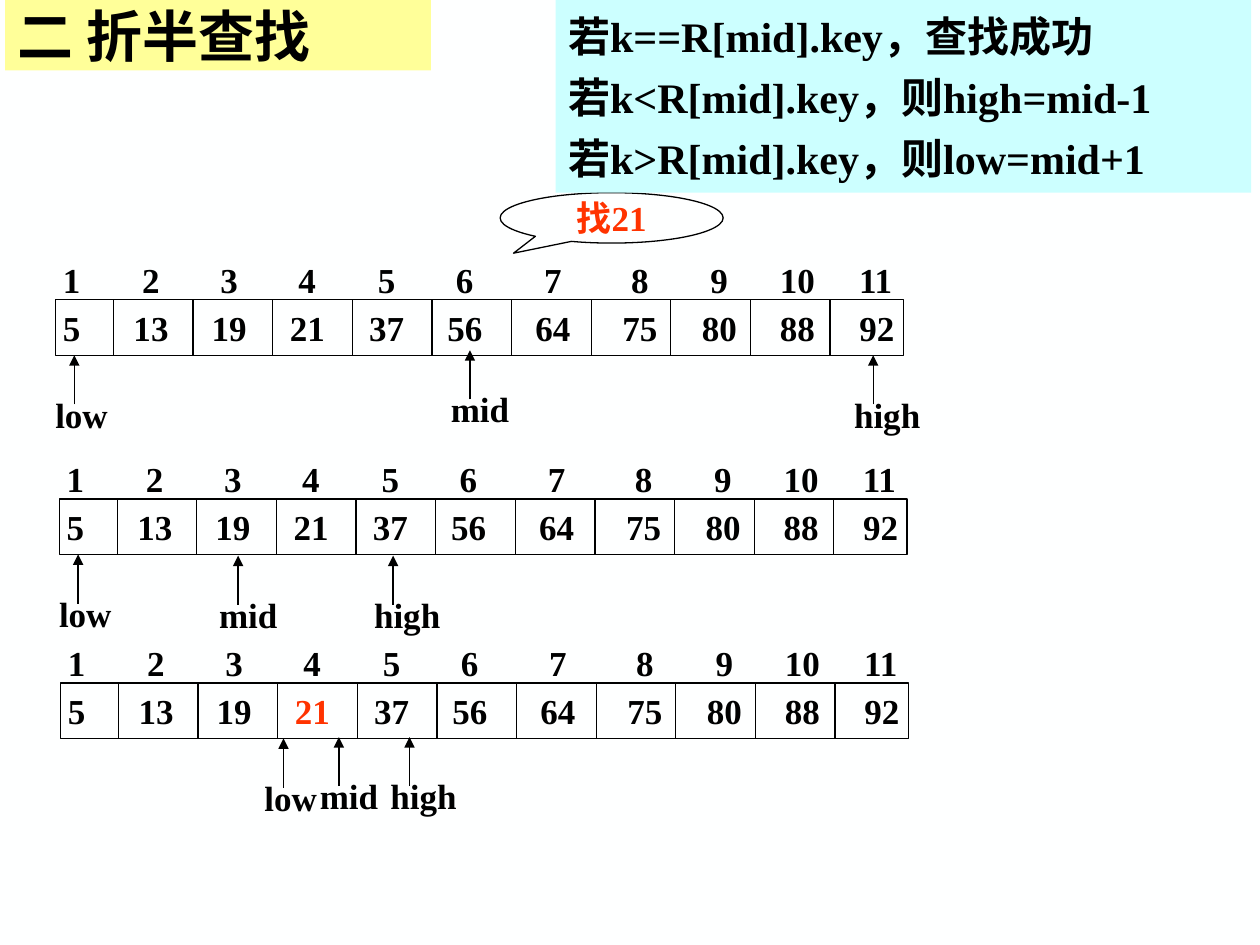
from lxml import etree
from pptx import Presentation
from pptx.dml.color import RGBColor
from pptx.enum.shapes import MSO_CONNECTOR, MSO_SHAPE
from pptx.enum.text import MSO_ANCHOR, PP_ALIGN
from pptx.oxml.ns import qn
from pptx.util import Inches, Pt

LINE = MSO_CONNECTOR.STRAIGHT
RECTANGLE = MSO_SHAPE.RECTANGLE
CALLOUT = MSO_SHAPE.OVAL_CALLOUT
MIDDLE, TOP = MSO_ANCHOR.MIDDLE, MSO_ANCHOR.TOP
LEFT, CENTER = PP_ALIGN.LEFT, PP_ALIGN.CENTER
LATIN, HAN = "Times New Roman", "Noto Sans CJK SC"
BLACK, RED, YELLOW, CYAN, PAPER = "000000", "FF3300", "FFFF99", "CCFFFF", "FEFFFF"

VALUES = [5, 13, 19, 21, 37, 56, 64, 75, 80, 88, 92]
VALUE_STARTS = [0, 0.56, 1.18, 1.8, 2.43, 3.05, 3.75, 4.44, 5.07, 5.69, 6.32]
# Single digits sit slightly further in, above the middle of two-digit values.
INDEX_STARTS = [start + (0.07 if 1 <= i <= 8 else 0)
                for i, start in enumerate(VALUE_STARTS)]
ARRAY_WIDTH, ARRAY_HEIGHT = 6.73, 0.44
FIRST_DIVIDER, CELL_WIDTH = 0.46, 0.632
LABEL_WIDTHS = {"low": 0.61, "mid": 0.66, "high": 0.72}

# Array left and top, highlighted value, and (name, x, y) of each pointer tip
STEPS = [
    ((0.44, 2.38), None, [("low", 0.59, 2.82), ("high", 6.93, 2.82), ("mid", 3.73, 2.78)]),
    ((0.47, 3.96), None, [("low", 0.62, 4.4), ("high", 3.12, 4.41), ("mid", 1.89, 4.41)]),
    ((0.48, 5.42), 21, [("low", 2.25, 5.86), ("high", 3.25, 5.85), ("mid", 2.69, 5.85)]),
]
RULES = ["若k==R[mid].key，查找成功", "若k<R[mid].key，则high=mid-1", "若k>R[mid].key，则low=mid+1"]


def color(value):
    return RGBColor.from_string(value)


def inches(box):
    return [Inches(length) for length in box]


def add_span(para, text, size=20, ink=BLACK, name=LATIN):
    span = para.add_run()
    span.text = text
    for key, value in {"name": name, "size": Pt(size), "bold": True}.items():
        setattr(span.font, key, value)
    span.font.color.rgb = color(ink)
    etree.SubElement(span.font._element, qn("a:ea"), typeface=HAN)


def format_frame(frame, wrap=True, anchor=MIDDLE, side=0.1, right=0.1):
    settings = {"word_wrap": wrap, "vertical_anchor": anchor,
                "margin_left": Inches(side), "margin_right": Inches(right),
                "margin_top": Inches(0.05), "margin_bottom": Inches(0.05)}
    for key, value in settings.items():
        setattr(frame, key, value)
    return frame.paragraphs[0]


def add_panel(page, kind, box, fill=None):
    """Add a shape that is either filled without outline or outlined without fill."""
    shape = page.shapes.add_shape(kind, *inches(box))
    shape.shadow.inherit = False
    if fill:
        shape.fill.solid()
        shape.fill.fore_color.rgb = color(fill)
        shape.line.fill.background()
    else:
        shape.fill.background()
        shape.line.color.rgb = color(BLACK)
        shape.line.width = Pt(0.75)
    return shape


def add_line(page, start, end, arrow=False):
    line = page.shapes.add_connector(LINE, *inches(start + end))
    line.line.color.rgb = color(BLACK)
    line.line.width = Pt(0.75)
    if arrow:
        etree.SubElement(line.line._get_or_add_ln(), qn("a:tailEnd"), type="triangle")
    etree.SubElement(line._element.spPr, qn("a:effectLst"))


def fill_columns(para, entries, starts, highlight=None):
    """Write the entries on one line, each at its own tab stop."""
    para.alignment = LEFT
    stops = etree.SubElement(para._p.get_or_add_pPr(), qn("a:tabLst"))
    for start in starts[1:]:
        etree.SubElement(stops, qn("a:tab"), pos=str(Inches(start)), algn="l")
    for i, entry in enumerate(entries):
        add_span(para, f"\t{entry}" if i else str(entry),
                 ink=RED if entry == highlight else BLACK)


def add_array(page, left, top, highlight):
    box = (left - 0.04, top - 0.38, 6.81, 0.44)
    indexes = page.shapes.add_textbox(*inches(box))
    para = format_frame(indexes.text_frame, anchor=TOP, right=0)
    fill_columns(para, range(1, len(VALUES) + 1), INDEX_STARTS)

    cells = add_panel(page, RECTANGLE, (left, top, ARRAY_WIDTH, ARRAY_HEIGHT))
    para = format_frame(cells.text_frame, side=0.06, right=0)
    fill_columns(para, VALUES, VALUE_STARTS, highlight)
    for i in range(len(VALUES) - 1):
        x = left + FIRST_DIVIDER + i * CELL_WIDTH
        add_line(page, (x, top), (x, top + ARRAY_HEIGHT))


def add_pointer(page, name, x, y):
    add_line(page, (x, y + 0.39), (x, y), arrow=True)
    box = (x - 0.25, y + 0.25, LABEL_WIDTHS[name], 0.44)
    label = page.shapes.add_textbox(*inches(box))
    para = format_frame(label.text_frame, anchor=TOP, right=0)
    para.alignment = LEFT
    add_span(para, name)


def add_title(page, box):
    title = page.shapes.title
    title.left, title.top, title.width, title.height = inches(box)
    title.fill.solid()
    title.fill.fore_color.rgb = color(YELLOW)
    para = format_frame(title.text_frame)
    para.alignment = LEFT
    add_span(para, "二 折半查找", 32, name=HAN)


def add_rules(page, box):
    frame = add_panel(page, RECTANGLE, box, CYAN).text_frame
    para = format_frame(frame)
    for i, rule in enumerate(RULES):
        if i:
            para = frame.add_paragraph()
            para.space_before = Pt(6)
        para.alignment = LEFT
        add_span(para, rule, 24)


def add_callout(page, box):
    bubble = add_panel(page, CALLOUT, box)
    bubble.adjustments[0], bubble.adjustments[1] = -0.44, 0.7
    para = format_frame(bubble.text_frame, wrap=False)
    para.alignment = CENTER
    add_span(para, "找21", ink=RED)


def main():
    deck = Presentation()
    deck.slide_width, deck.slide_height = Inches(10), Inches(7.5)
    page = deck.slides.add_slide(deck.slide_layouts[5])
    page.background.fill.solid()
    page.background.fill.fore_color.rgb = color(PAPER)

    add_title(page, (0.04, 0, 3.38, 0.56))
    add_callout(page, (3.97, 1.53, 1.77, 0.4))
    for (left, top), highlight, pointers in STEPS:
        add_array(page, left, top, highlight)
        for name, x, y in pointers:
            add_pointer(page, name, x, y)
    add_rules(page, (4.41, 0, 5.52, 1.53))
    deck.save("out.pptx")


if __name__ == "__main__":
    main()
